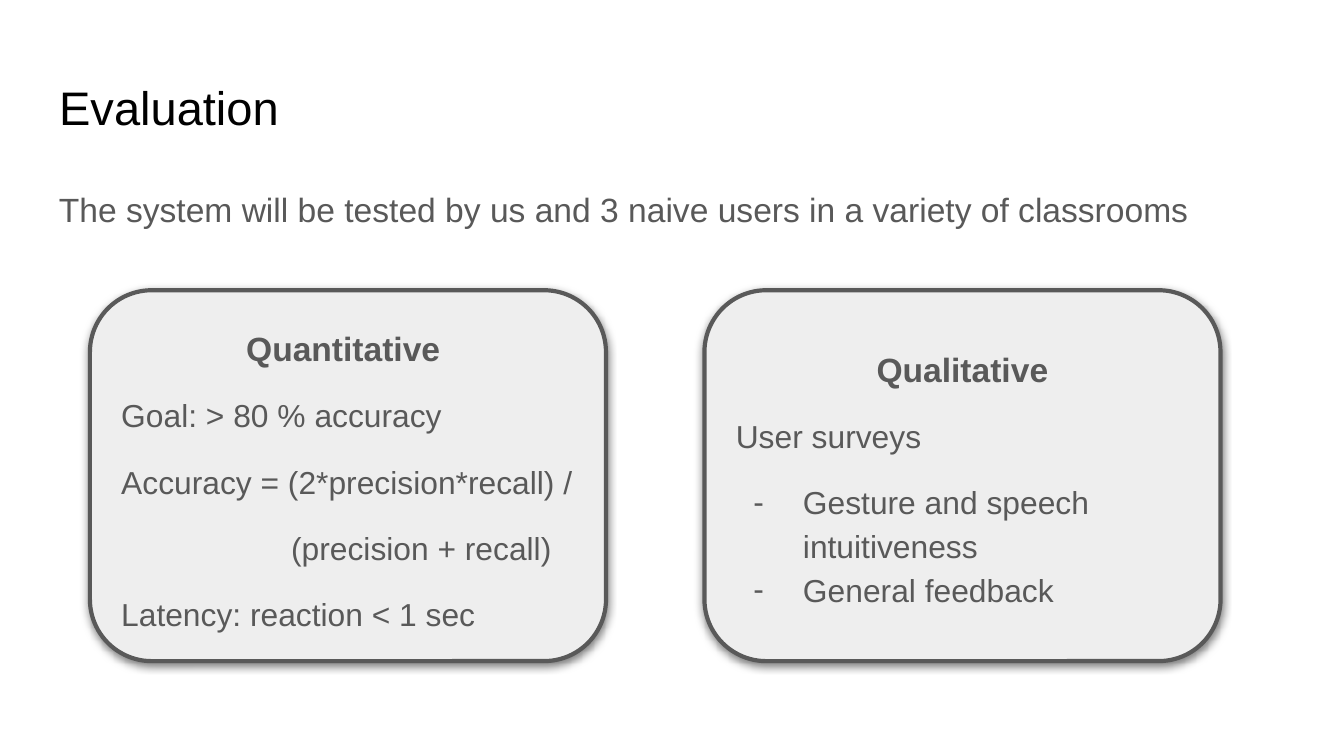
from lxml import etree
from pptx import Presentation
from pptx.dml.color import RGBColor
from pptx.enum.shapes import MSO_SHAPE
from pptx.enum.text import MSO_ANCHOR, MSO_AUTO_SIZE, PP_ALIGN
from pptx.oxml import parse_xml
from pptx.oxml.ns import qn
from pptx.util import Pt

ROUNDED = MSO_SHAPE.ROUNDED_RECTANGLE
TOP, MIDDLE = MSO_ANCHOR.TOP, MSO_ANCHOR.MIDDLE
NO_AUTOFIT = MSO_AUTO_SIZE.NONE
LEFT, CENTER = PP_ALIGN.LEFT, PP_ALIGN.CENTER

BLACK = RGBColor(0x00, 0x00, 0x00)
GRAY = RGBColor(0x59, 0x59, 0x59)
PALE = RGBColor(0xEE, 0xEE, 0xEE)

FONT = "Arial"
LINE_SPACING = 1.15
MARGIN, TEXT_WIDTH = 24.5, 671
CARD_LEFT, CARD_TOP, CARD_STEP = 48.2, 155.5, 329.2
CARD_WIDTH, CARD_HEIGHT = 276.5, 198.7

HEADING = {"size": 18, "bold": True, "align": CENTER}
POINT = {"before": 12}
DENOMINATOR = {"before": 12, "indent": 91}
FIRST_DASH = {"before": 12, "indent": 36, "bullet": "-"}
NEXT_DASH = {"indent": 36, "bullet": "-"}

CARDS = [
    (TOP, [
        ("Quantitative ", HEADING),
        ("Goal: > 80 % accuracy", POINT),
        ("Accuracy = (2*precision*recall) /", POINT),
        ("(precision + recall)", DENOMINATOR),
        ("Latency: reaction < 1 sec", {"before": 12, "after": 12}),
    ]),
    (MIDDLE, [
        ("Qualitative", HEADING),
        ("User surveys", POINT),
        ("Gesture and speech intuitiveness", FIRST_DASH),
        ("General feedback", NEXT_DASH),
    ]),
]

SHADOW = (
    '<a:effectLst xmlns:a="http://schemas.openxmlformats.org/drawingml/2006/main">'
    f'<a:outerShdw blurRad="{Pt(4.5)}" dist="{Pt(1.5)}" dir="5400000" '
    'algn="bl" rotWithShape="0">'
    '<a:srgbClr val="000000"><a:alpha val="50000"/></a:srgbClr>'
    '</a:outerShdw></a:effectLst>'
)


def set_all(target, values):
    """Set each named attribute of the target."""
    for name, value in values.items():
        setattr(target, name, value)


def prepare_frame(frame, anchor=TOP):
    """Set wrapping, anchor and equal insets of a text frame."""
    insets = dict.fromkeys(
        ("margin_left", "margin_top", "margin_right", "margin_bottom"), Pt(7.2))
    set_all(frame, {"word_wrap": True, "auto_size": NO_AUTOFIT,
                    "vertical_anchor": anchor, **insets})


def add_dash(paragraph, character):
    """Give a paragraph a hanging bullet character."""
    properties = paragraph._p.get_or_add_pPr()
    properties.set("indent", str(Pt(-26.6)))
    color = etree.SubElement(properties, qn("a:buClr"))
    etree.SubElement(color, qn("a:srgbClr"), val=str(GRAY))
    etree.SubElement(properties, qn("a:buFont"), typeface=FONT)
    etree.SubElement(properties, qn("a:buChar"), char=character)


def write_paragraph(paragraph, text, size=17, bold=False, color=GRAY, align=LEFT,
                    spacing=LINE_SPACING, before=0, after=0, indent=0, bullet=None):
    """Fill one paragraph with formatted text."""
    set_all(paragraph, {"alignment": align, "line_spacing": spacing,
                        "space_before": Pt(before), "space_after": Pt(after)})
    if indent:
        paragraph._p.get_or_add_pPr().set("marL", str(Pt(indent)))
    if bullet:
        add_dash(paragraph, bullet)
    run = paragraph.add_run()
    run.text = text
    set_all(run.font, {"name": FONT, "size": Pt(size), "bold": bold})
    run.font.color.rgb = color


def write_title(slide, text):
    """Place and format the slide title."""
    title = slide.shapes.title
    set_all(title, {"left": Pt(MARGIN), "top": Pt(35.1),
                    "width": Pt(TEXT_WIDTH), "height": Pt(45)})
    prepare_frame(title.text_frame)
    write_paragraph(title.text_frame.paragraphs[0], text,
                    size=25.2, color=BLACK, spacing=1.0)


def add_statement(slide, text):
    """Add the sentence below the title."""
    statement = slide.shapes.add_textbox(
        Pt(MARGIN), Pt(90.7), Pt(TEXT_WIDTH), Pt(238.3))
    prepare_frame(statement.text_frame)
    write_paragraph(statement.text_frame.paragraphs[0], text, size=18)


def add_card(slide, left, anchor, lines):
    """Add a rounded, shadowed card holding lines of text."""
    card = slide.shapes.add_shape(
        ROUNDED, Pt(left), Pt(CARD_TOP), Pt(CARD_WIDTH), Pt(CARD_HEIGHT))
    card.fill.solid()
    card.fill.fore_color.rgb = PALE
    card.line.color.rgb = GRAY
    card.line.width = Pt(2.25)
    card._element.spPr.append(parse_xml(SHADOW))
    frame = card.text_frame
    prepare_frame(frame, anchor)
    for index, (text, style) in enumerate(lines):
        paragraph = frame.add_paragraph() if index else frame.paragraphs[0]
        write_paragraph(paragraph, text, **style)


def main():
    """Build the evaluation slide."""
    deck = Presentation()
    set_all(deck, {"slide_width": Pt(720), "slide_height": Pt(405)})
    slide = deck.slides.add_slide(deck.slide_layouts[5])
    write_title(slide, "Evaluation")
    add_statement(slide, "The system will be tested by us and 3 naive users "
                         "in a variety of classrooms")
    for column, (anchor, lines) in enumerate(CARDS):
        add_card(slide, CARD_LEFT + column * CARD_STEP, anchor, lines)
    deck.save("out.pptx")


if __name__ == "__main__":
    main()
